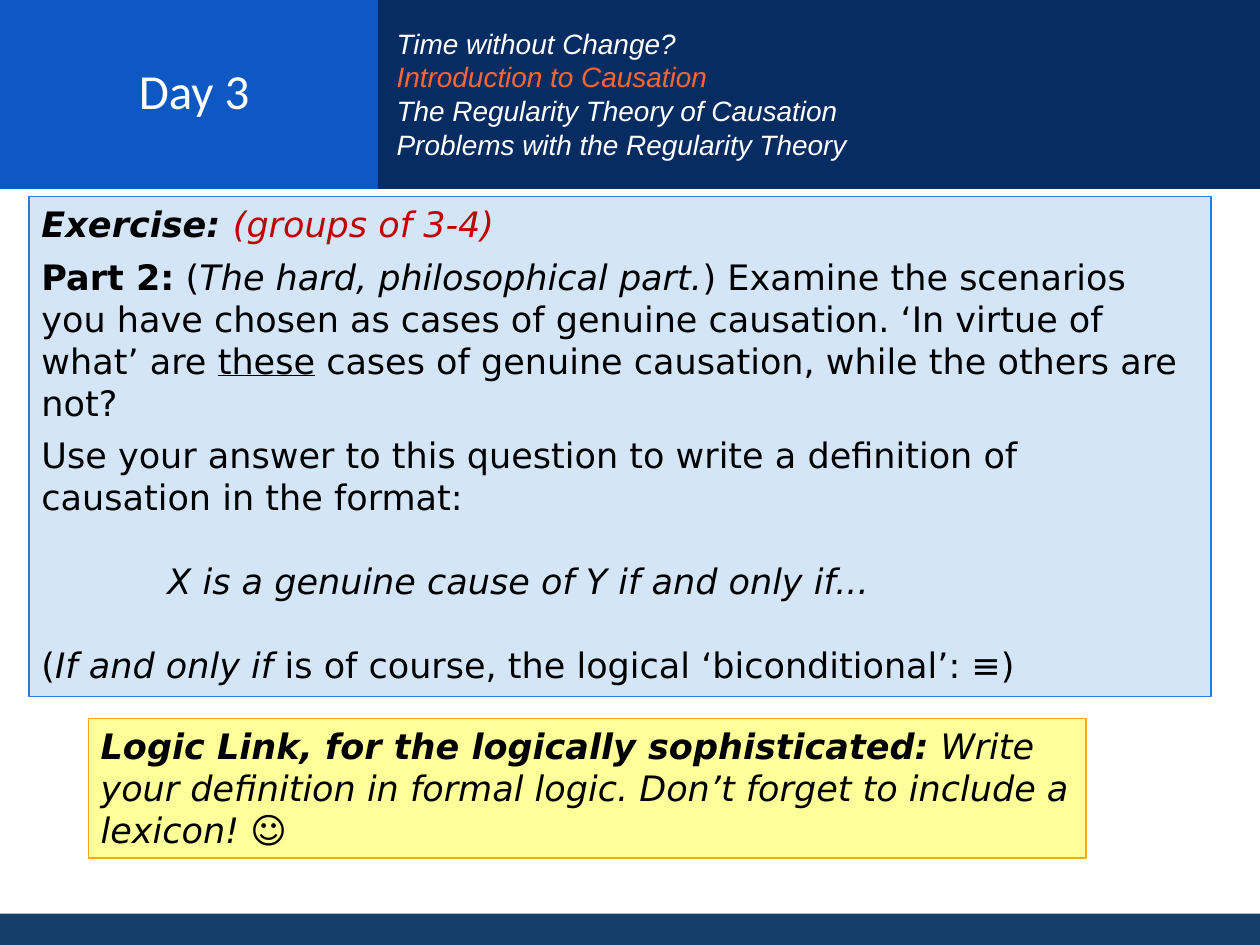
"""Build the Day 3 causation exercise slide."""
from dataclasses import dataclass, field
from typing import Any, Optional

from pptx import Presentation
from pptx.dml.color import RGBColor
from pptx.enum.shapes import MSO_SHAPE
from pptx.enum.text import MSO_ANCHOR, PP_ALIGN
from pptx.util import Pt


@dataclass
class Phrase:
    text: str
    style: dict[str, Any] = field(default_factory=dict)


@dataclass
class Line:
    phrases: list[Phrase]
    before: float = 0
    indent: float = 0
    align: Any = PP_ALIGN.LEFT


@dataclass
class Panel:
    left: float
    top: float
    width: float
    height: float
    fill: Optional[str] = None
    outline: Optional[str] = None
    lines: list[Line] = field(default_factory=list)
    style: dict[str, Any] = field(default_factory=dict)
    anchor: Any = MSO_ANCHOR.TOP


BOLD = {"bold": True}
ITALIC = {"italic": True}
BOLD_ITALIC = BOLD | ITALIC
HEADING = {"name": "Calibri", "size": Pt(28), "color": "FFFFFF"}
AGENDA = {"name": "Arial", "size": Pt(16), "color": "FFFFFF", "italic": True}
BODY = {"name": "DejaVu Sans", "size": Pt(20), "color": "000000"}
HIGHLIGHT = {"color": "FF6730"}

SLIDE_WIDTH, SLIDE_HEIGHT = 720, 540
HEADER_HEIGHT, DAY_WIDTH, FOOTER_HEIGHT = 108, 216, 18
BLANK_LINE = 24

TOPICS = [
    Line([Phrase("Time without Change?")]),
    Line([Phrase("Introduction to Causation", HIGHLIGHT)]),
    Line([Phrase("The Regularity Theory of Causation")]),
    Line([Phrase("Problems with the Regularity Theory")]),
]

EXERCISE = [
    Line([
        Phrase("Exercise: ", BOLD_ITALIC),
        Phrase("(groups of 3-4)", ITALIC | {"color": "C00000"}),
    ]),
    Line([
        Phrase("Part 2:", BOLD),
        Phrase(" ("),
        Phrase("The hard, philosophical part.", ITALIC),
        Phrase(") Examine the scenarios you have chosen as cases of genuine "
               "causation. ‘In virtue of what’ are "),
        Phrase("these", {"underline": True}),
        Phrase(" cases of genuine causation, while the others are not?"),
    ], before=6),
    Line([Phrase("Use your answer to this question to write a definition of "
                 "causation in the format:")], before=6),
    Line([Phrase("X is a genuine cause of Y if and only if...", ITALIC)],
         before=BLANK_LINE, indent=72),
    Line([
        Phrase("("),
        Phrase("If and only if", ITALIC),
        Phrase(" is of course, the logical ‘biconditional’: ≡)"),
    ], before=BLANK_LINE),
]

LOGIC_LINK = [
    Line([
        Phrase("Logic Link, for the logically sophisticated:", BOLD_ITALIC),
        Phrase(" Write your definition in formal logic. Don’t forget to "
               "include a lexicon! ☺", ITALIC),
    ]),
]

PANELS = [
    Panel(0, SLIDE_HEIGHT - FOOTER_HEIGHT, SLIDE_WIDTH, FOOTER_HEIGHT, "143F6A"),
    Panel(0, 0, DAY_WIDTH, HEADER_HEIGHT, "0E58C4"),
    Panel(DAY_WIDTH, 0, SLIDE_WIDTH - DAY_WIDTH, HEADER_HEIGHT, "072C62"),
    Panel(14.4, -7.9, 193, 118.8, style=HEADING, anchor=MSO_ANCHOR.MIDDLE,
          lines=[Line([Phrase("Day 3")], align=PP_ALIGN.CENTER)]),
    Panel(219.6, 11.5, 343.4, 85, lines=TOPICS, style=AGENDA),
    Panel(16.6, 112.3, 675.4, 285.8, "D4E5F7", "297FD5", EXERCISE, BODY),
    Panel(50.4, 410.4, 570.2, 79.9, "FFFF99", "FFA720", LOGIC_LINK, BODY),
]


def rgb(code: str) -> RGBColor:
    """Turn a hex string into a colour."""
    return RGBColor.from_string(code)


def apply_style(font: Any, style: dict[str, Any]) -> None:
    """Set each format value on a font."""
    for attribute, value in style.items():
        if attribute == "color":
            font.color.rgb = rgb(value)
        else:
            setattr(font, attribute, value)


def write_lines(frame: Any, panel: Panel) -> None:
    """Write the panel's paragraphs into its text frame."""
    frame.word_wrap = True
    frame.vertical_anchor = panel.anchor
    for index, line in enumerate(panel.lines):
        paragraph = frame.add_paragraph() if index else frame.paragraphs[0]
        paragraph.alignment = line.align
        paragraph.space_before = Pt(line.before)
        if line.indent:
            paragraph._p.get_or_add_pPr().set("marL", str(Pt(line.indent)))
        for phrase in line.phrases:
            run = paragraph.add_run()
            run.text = phrase.text
            apply_style(run.font, panel.style | phrase.style)


def draw_panel(slide: Any, panel: Panel) -> None:
    """Draw a filled rectangle or a plain text box with its text."""
    bounds = [Pt(v) for v in (panel.left, panel.top, panel.width, panel.height)]
    if panel.fill:
        shape = slide.shapes.add_shape(MSO_SHAPE.RECTANGLE, *bounds)
        shape.shadow.inherit = False
        shape.fill.solid()
        shape.fill.fore_color.rgb = rgb(panel.fill)
        if panel.outline:
            shape.line.color.rgb = rgb(panel.outline)
            shape.line.width = Pt(0.75)
        else:
            shape.line.fill.background()
    else:
        shape = slide.shapes.add_textbox(*bounds)
    if panel.lines:
        write_lines(shape.text_frame, panel)


def main() -> None:
    """Create the presentation and save it."""
    presentation = Presentation()
    presentation.slide_width = Pt(SLIDE_WIDTH)
    presentation.slide_height = Pt(SLIDE_HEIGHT)
    slide = presentation.slides.add_slide(presentation.slide_layouts[6])
    for panel in PANELS:
        draw_panel(slide, panel)
    presentation.save("out.pptx")


if __name__ == "__main__":
    main()
